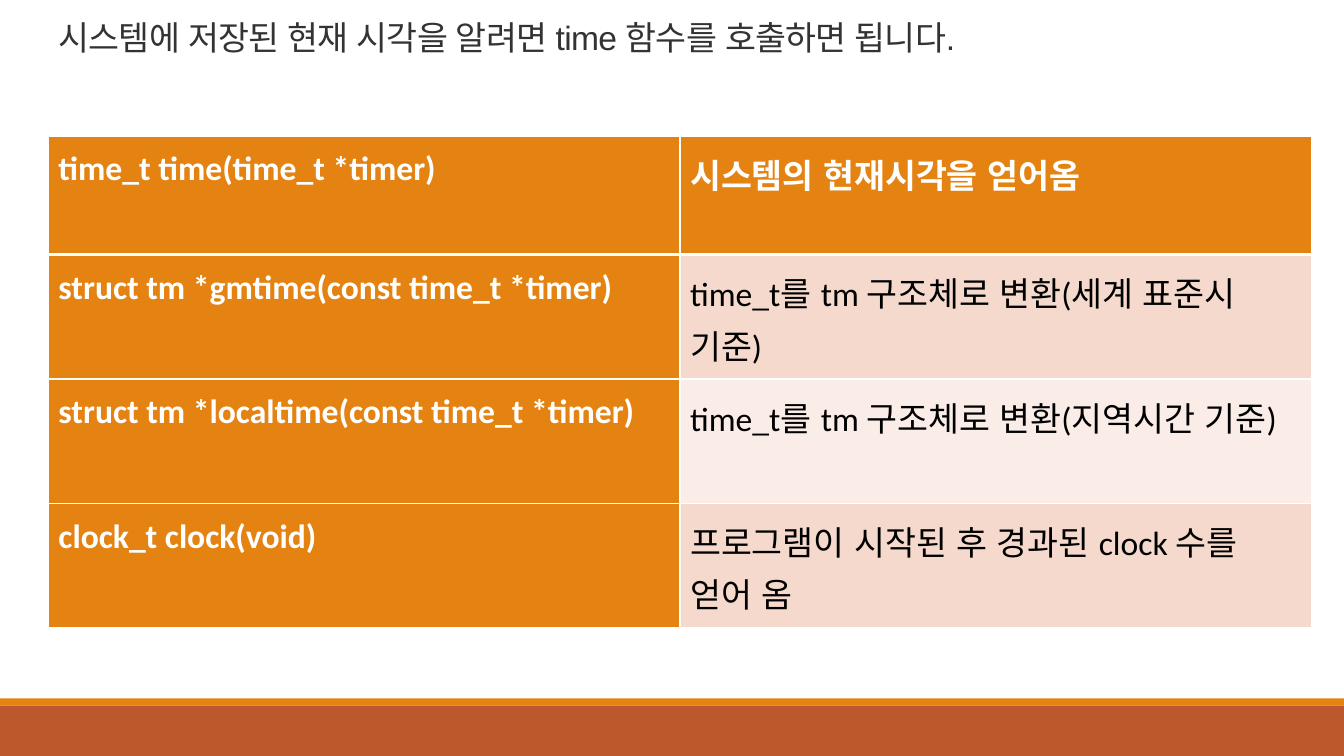
from lxml.etree import SubElement
from pptx import Presentation
from pptx.dml.color import RGBColor
from pptx.enum.shapes import MSO_SHAPE
from pptx.enum.text import MSO_ANCHOR, PP_ALIGN
from pptx.oxml.ns import qn
from pptx.util import Inches, Pt

ORANGE, RUST, WHITE, BLACK, GRAY = "E48312", "BD582C", "FFFFFF", "000000", "343333"
BAND_FILLS = ("F5D9CC", "FAEDE7")
KOREAN_FONT = "Noto Sans CJK KR"
TITLE = "시스템에 저장된 현재 시각을 알려면 time 함수를 호출하면 됩니다."
FUNCTIONS = [
    ("time_t time(time_t *timer)", "시스템의 현재시각을 얻어옴"),
    ("struct tm *gmtime(const time_t *timer)", "time_t를 tm 구조체로 변환(세계 표준시 기준)"),
    ("struct tm *localtime(const time_t *timer)", "time_t를 tm 구조체로 변환(지역시간 기준)"),
    ("clock_t clock(void)", "프로그램이 시작된 후 경과된 clock 수를 얻어 옴"),
]


def color(value):
    """Turn a hex string into a colour."""
    return RGBColor.from_string(value)


def format_text(frame, font_name, font_color, bold, line_spacing):
    """Format the only paragraph of a text frame."""
    para = frame.paragraphs[0]
    para.alignment = PP_ALIGN.LEFT
    para.line_spacing = line_spacing
    span = para.runs[0]
    span.font.name = font_name
    span.font.size = Pt(24)
    span.font.bold = bold
    span.font.color.rgb = color(font_color)
    properties = span.font._element
    properties.set("lang", "ko-KR")
    SubElement(properties, qn("a:ea"), typeface=KOREAN_FONT)
    return span


def add_footer_bands(page, left, top, width, height):
    """Draw the thin orange strip above the rust band."""
    strip = 0.07
    bands = [(top, strip, ORANGE), (top + strip, height - strip, RUST)]
    for band_top, band_height, fill in bands:
        band = page.shapes.add_shape(
            MSO_SHAPE.RECTANGLE, Inches(left), Inches(band_top), Inches(width), Inches(band_height))
        band.shadow.inherit = False
        band.fill.solid()
        band.fill.fore_color.rgb = color(fill)
        band.line.fill.background()


def add_title(page, left, top, width, height):
    """Place the sentence in the title placeholder."""
    box = page.shapes.title
    box.left, box.top = Inches(left), Inches(top)
    box.width, box.height = Inches(width), Inches(height)
    frame = box.text_frame
    frame.text = TITLE
    frame.word_wrap = True
    frame.vertical_anchor = MSO_ANCHOR.MIDDLE
    span = format_text(frame, "Arial", GRAY, False, 0.85)
    span.font._element.set("spc", "-50")


def set_borders(cell, top, bottom):
    """Give a cell white borders, with top and bottom widths in points."""
    properties = cell._tc.get_or_add_tcPr()
    for side, width in (("L", 1), ("R", 1), ("T", top), ("B", bottom)):
        border = SubElement(properties, qn(f"a:ln{side}"), w=str(Pt(width)))
        fill = SubElement(border, qn("a:solidFill"))
        SubElement(fill, qn("a:srgbClr"), val=WHITE)


def add_function_table(page, left, top, width, height):
    """List the time functions beside their descriptions."""
    table = page.shapes.add_table(
        len(FUNCTIONS), 2, Inches(left), Inches(top), Inches(width), Inches(height)).table
    table.first_col = True
    for row, texts in enumerate(FUNCTIONS):
        for column, text in enumerate(texts):
            cell = table.cell(row, column)
            strong = row == 0 or column == 0
            cell.margin_left = cell.margin_right = Inches(0.1)
            cell.margin_top = cell.margin_bottom = Inches(0.1)
            set_borders(cell, 3 if row == 1 else 1, 3 if row == 0 else 1)
            cell.fill.solid()
            cell.fill.fore_color.rgb = color(ORANGE if strong else BAND_FILLS[(row - 1) % 2])
            cell.text_frame.text = text
            format_text(cell.text_frame, "Calibri", WHITE if strong else BLACK, strong, 1.07)


def main():
    """Build the slide and save it."""
    deck = Presentation()
    deck.slide_width, deck.slide_height = Inches(13.33), Inches(7.5)
    page = deck.slides.add_slide(deck.slide_layouts[5])
    add_footer_bands(page, 0, 6.93, 13.33, 0.57)
    add_function_table(page, 0.48, 1.35, 12.53, 4.7)
    add_title(page, 0.48, 0.1, 10.4, 0.6)
    deck.save("out.pptx")


if __name__ == "__main__":
    main()
